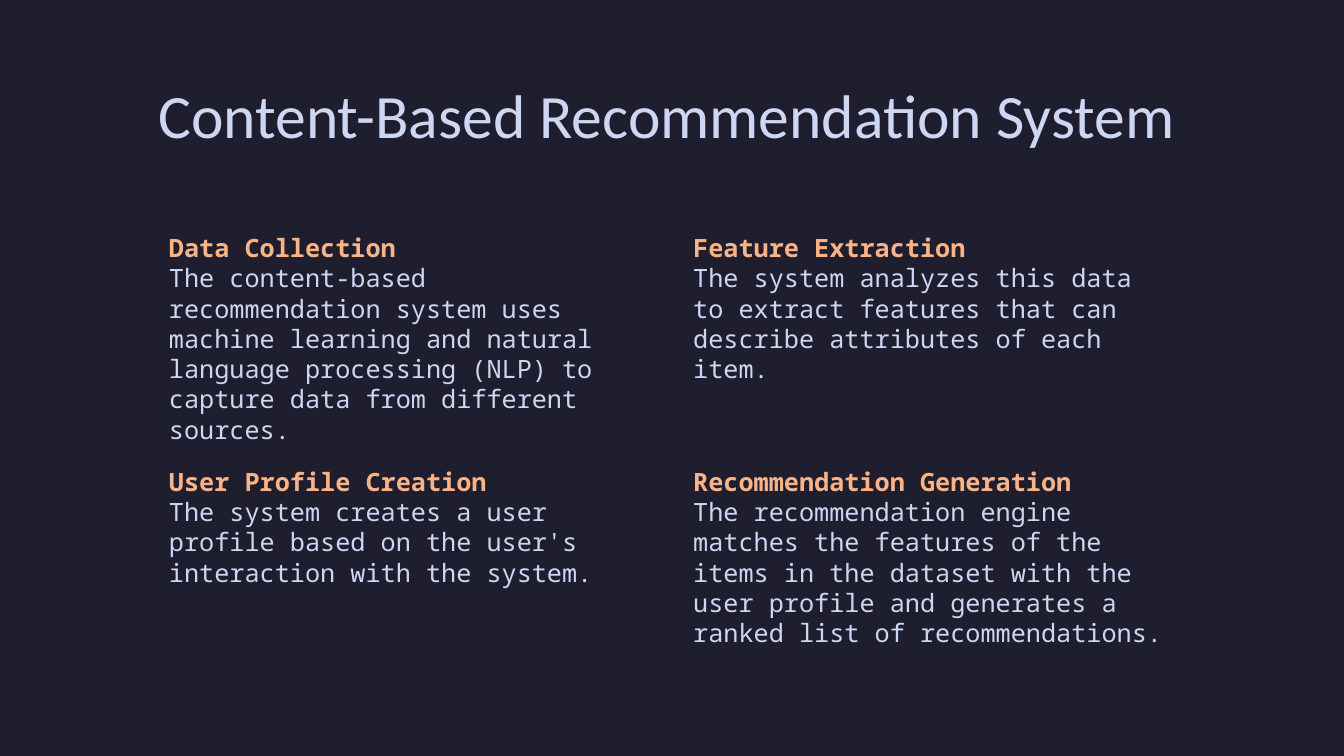
import dataclasses

import pptx
import pptx.dml.color
import pptx.enum.shapes
import pptx.enum.text
import pptx.util

Inches = pptx.util.Inches


@dataclasses.dataclass(frozen=True)
class Theme:
    background: str = "1E1E2E"
    text: str = "CDD6F3"
    accent: str = "FAB387"
    title_font: str = "Calibri"
    body_font: str = "Noto Sans Mono"
    title_size: int = 44
    body_size: int = 18


THEME = Theme()

TITLE = "Content-Based Recommendation System"
STAGES = [
    ("Data Collection",
     "The content-based recommendation system uses machine learning and natural "
     "language processing (NLP) to capture data from different sources."),
    ("Feature Extraction",
     "The system analyzes this data to extract features that can describe "
     "attributes of each item."),
    ("User Profile Creation",
     "The system creates a user profile based on the user's interaction with "
     "the system."),
    ("Recommendation Generation",
     "The recommendation engine matches the features of the items in the dataset "
     "with the user profile and generates a ranked list of recommendations."),
]


def rgb(value):
    return pptx.dml.color.RGBColor.from_string(value)


def set_attributes(target, values):
    for name, value in values.items():
        setattr(target, name, value)


def write_paragraph(para, text, font, size, color, bold=False):
    para.alignment = pptx.enum.text.PP_ALIGN.LEFT
    span = para.add_run()
    span.text = text
    set_attributes(span.font, {"name": font, "size": pptx.util.Pt(size), "bold": bold})
    span.font.color.rgb = rgb(color)


def format_frame(frame):
    set_attributes(frame, {
        "word_wrap": True,
        "auto_size": pptx.enum.text.MSO_AUTO_SIZE.NONE,
        "vertical_anchor": pptx.enum.text.MSO_ANCHOR.TOP,
    })


# Title line
def add_title(page, left, top, width, height):
    title = page.shapes.title
    set_attributes(title, {"left": Inches(left), "top": Inches(top),
                           "width": Inches(width), "height": Inches(height)})
    format_frame(title.text_frame)
    write_paragraph(title.text_frame.paragraphs[0], TITLE,
                    THEME.title_font, THEME.title_size, THEME.text)


# One stage: accent heading above its description
def add_stage(page, heading, description, left, top, width, height):
    box = page.shapes.add_shape(
        pptx.enum.shapes.MSO_SHAPE.ROUNDED_RECTANGLE,
        Inches(left), Inches(top), Inches(width), Inches(height))
    box.shadow.inherit = False
    box.fill.background()
    box.line.fill.background()
    frame = box.text_frame
    format_frame(frame)
    write_paragraph(frame.paragraphs[0], heading,
                    THEME.body_font, THEME.body_size, THEME.accent, bold=True)
    write_paragraph(frame.add_paragraph(), description,
                    THEME.body_font, THEME.body_size, THEME.text)


# Stages in a two-column grid, filled row by row
def add_stage_grid(page, left, top, width, height, columns=2, gap_x=0.1, gap_y=0.12):
    rows = len(STAGES) // columns
    cell_width = (width - gap_x * (columns - 1)) / columns
    cell_height = (height - gap_y * (rows - 1)) / rows
    for index, (heading, description) in enumerate(STAGES):
        row, column = divmod(index, columns)
        add_stage(page, heading, description,
                  left + column * (cell_width + gap_x),
                  top + row * (cell_height + gap_y),
                  cell_width, cell_height)


def main():
    deck = pptx.Presentation()
    set_attributes(deck, {"slide_width": Inches(13.33), "slide_height": Inches(7.5)})
    title_only = deck.slide_layouts[5]
    page = deck.slides.add_slide(title_only)
    page.background.fill.solid()
    page.background.fill.fore_color.rgb = rgb(THEME.background)
    add_title(page, 1.47, 0.71, 10.39, 0.84)
    add_stage_grid(page, 1.47, 2.15, 10.3, 4.52)
    deck.save("out.pptx")


if __name__ == "__main__":
    main()
